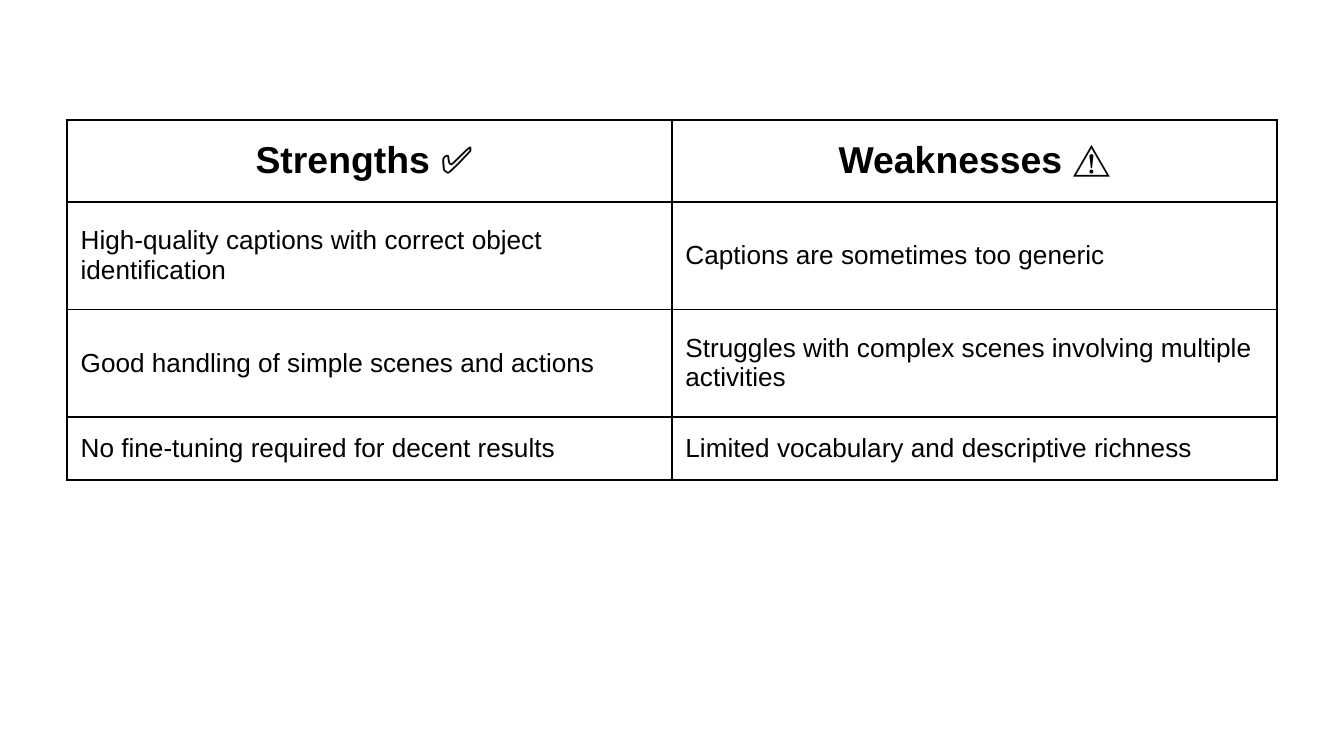
from lxml.etree import SubElement
from pptx import Presentation
from pptx.dml.color import RGBColor
from pptx.enum.text import MSO_ANCHOR, PP_ALIGN
from pptx.oxml.ns import qn
from pptx.util import Inches, Pt

# Each heading is a bold title followed by a regular symbol.
HEADINGS = [("Strengths ", "✅ "), ("Weaknesses ", "⚠️")]
POINTS = [
    ("High-quality captions with correct object identification",
     "Captions are sometimes too generic"),
    ("Good handling of simple scenes and actions",
     "Struggles with complex scenes involving multiple activities"),
    ("No fine-tuning required for decent results",
     "Limited vocabulary and descriptive richness"),
]

BLACK = RGBColor(0, 0, 0)
FONT = "Arial"
HEADING_SIZE, POINT_SIZE = Pt(20), Pt(14)
BORDER_WIDTH = Pt(1)

SLIDE_WIDTH = Inches(10)
SLIDE_HEIGHT = SLIDE_WIDTH * 9 // 16
MARGIN, TOP = Inches(0.5), Pt(64.2)
ROW_HEIGHTS = [Inches(h) for h in (0.61, 0.8, 0.8, 0.47)]


def add_borders(cell):
    properties = cell._tc.get_or_add_tcPr()
    for side in ("a:lnL", "a:lnR", "a:lnT", "a:lnB"):
        line = SubElement(properties, qn(side), w=str(BORDER_WIDTH))
        fill = SubElement(line, qn("a:solidFill"))
        SubElement(fill, qn("a:srgbClr"), val=str(BLACK))


def add_run(paragraph, text, size, bold=False):
    run = paragraph.add_run()
    run.text = text
    run.font.name = FONT
    run.font.size = size
    run.font.bold = bold
    run.font.color.rgb = BLACK


def format_cell(cell):
    """Set borders, no fill and middle anchoring; return the paragraph."""
    add_borders(cell)
    cell.fill.background()
    cell.vertical_anchor = MSO_ANCHOR.MIDDLE
    return cell.text_frame.paragraphs[0]


def main():
    presentation = Presentation()
    presentation.slide_width = SLIDE_WIDTH
    presentation.slide_height = SLIDE_HEIGHT
    slide = presentation.slides.add_slide(presentation.slide_layouts[6])

    comparison = slide.shapes.add_table(
        len(POINTS) + 1, len(HEADINGS), MARGIN, TOP,
        SLIDE_WIDTH - 2 * MARGIN, sum(ROW_HEIGHTS)).table
    comparison.first_row = False
    comparison.horz_banding = False
    for row, height in zip(comparison.rows, ROW_HEIGHTS):
        row.height = height

    for column, (title, symbol) in enumerate(HEADINGS):
        heading = format_cell(comparison.cell(0, column))
        heading.alignment = PP_ALIGN.CENTER
        add_run(heading, title, HEADING_SIZE, bold=True)
        add_run(heading, symbol, HEADING_SIZE)

    for row, points in enumerate(POINTS, start=1):
        for column, point in enumerate(points):
            paragraph = format_cell(comparison.cell(row, column))
            add_run(paragraph, point, POINT_SIZE)

    presentation.save("out.pptx")


if __name__ == "__main__":
    main()
